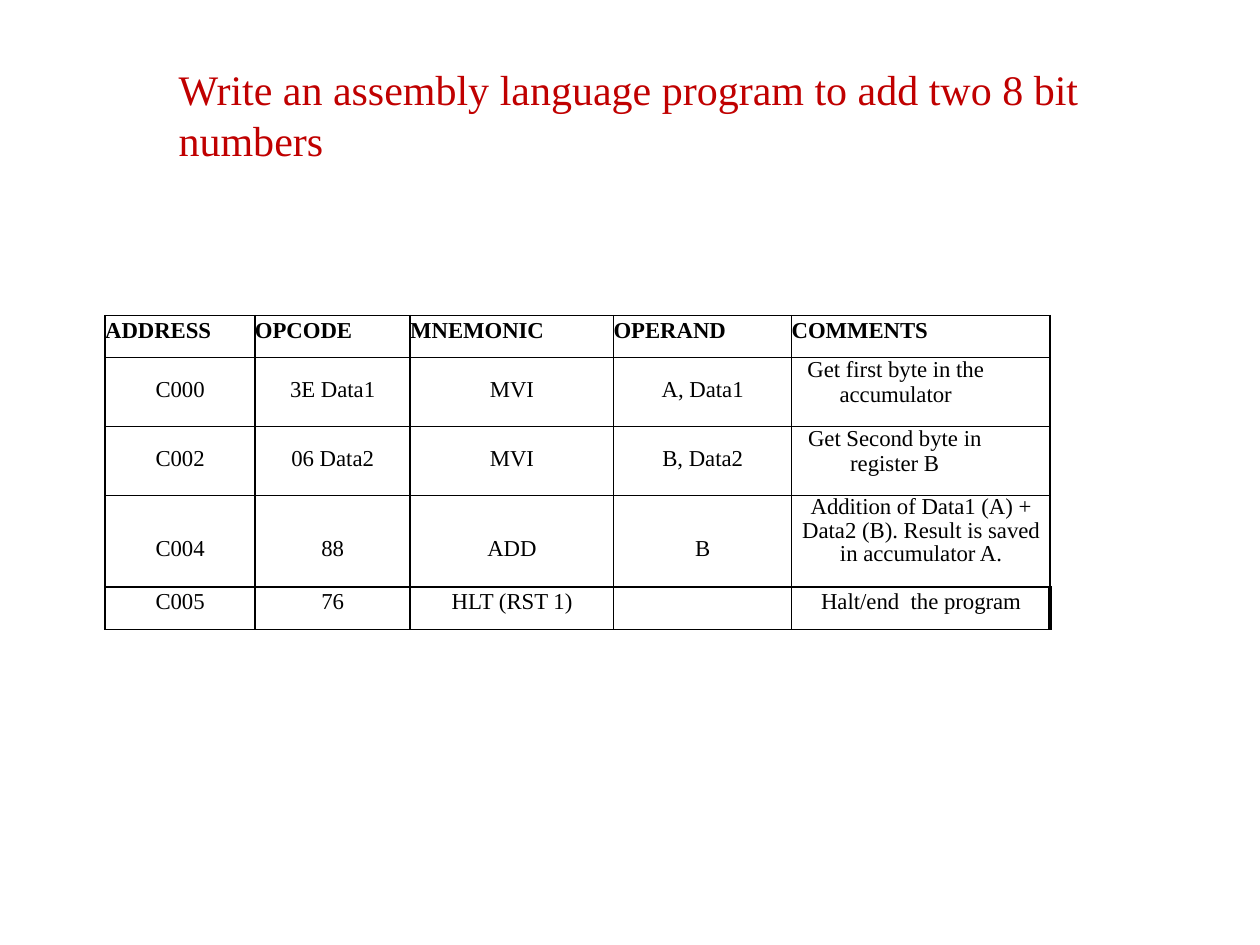
from dataclasses import dataclass

from lxml import etree
from pptx import Presentation
from pptx.dml.color import RGBColor
from pptx.enum.text import MSO_ANCHOR, PP_ALIGN
from pptx.oxml.ns import qn
from pptx.util import Cm, Pt

LEFT, MID = PP_ALIGN.LEFT, PP_ALIGN.CENTER
TOP, CENTER = MSO_ANCHOR.TOP, MSO_ANCHOR.MIDDLE


@dataclass
class Theme:
    font: str = "Times New Roman"
    head: str = "C00000"
    ink: str = "000000"
    paper: str = "FFFFFF"
    big: int = 24
    body: int = 13
    rule: int = 1
    thick: int = 3


@dataclass
class Row:
    """One table row: cell texts, height and top gap in cm, line spacing."""
    texts: tuple
    high: float
    gap: float = 0
    space: object = None
    last: object = None   # line spacing of the comment cell
    inset: float = 0      # right margin of the comment cell in cm
    bold: bool = False


class Deck:
    def __init__(self, theme):
        self.theme = theme
        self.prs = Presentation()
        self.prs.slide_width, self.prs.slide_height = Cm(25.4), Cm(19.05)
        self.slide = self.prs.slides.add_slide(self.prs.slide_layouts[5])

    def label(self, frame, text, size, color, align, bold=False, space=None):
        para = frame.paragraphs[0]
        para.alignment = align
        if space:
            para.line_spacing = space
        run = para.add_run()
        run.text = text
        run.font.name, run.font.size, run.font.bold = self.theme.font, Pt(size), bold
        run.font.color.rgb = RGBColor.from_string(color)

    def title(self, text, left, top, width, height):
        box = self.slide.shapes.title
        box.left, box.top = Cm(left), Cm(top)
        box.width, box.height = Cm(width), Cm(height)
        frame = box.text_frame
        frame.margin_left = frame.margin_right = 0
        frame.margin_top = frame.margin_bottom = 0
        frame.word_wrap, frame.vertical_anchor = True, CENTER
        self.label(frame, text, self.theme.big, self.theme.head, LEFT)

    def border(self, cell, right):
        props = cell._tc.get_or_add_tcPr()
        widths = {"L": self.theme.rule, "R": right,
                  "T": self.theme.rule, "B": self.theme.rule}
        # Borders must stand before the cell fill
        for spot, (side, width) in enumerate(widths.items()):
            line = etree.Element(qn("a:ln" + side), w=str(Pt(width)))
            fill = etree.SubElement(line, qn("a:solidFill"))
            etree.SubElement(fill, qn("a:srgbClr"), val=self.theme.ink)
            props.insert(spot, line)

    def cell(self, cell, text, row, final, right):
        cell.margin_left = cell.margin_bottom = 0
        cell.margin_top = 0 if final else Cm(row.gap)
        cell.margin_right = Cm(row.inset) if final else 0
        cell.vertical_anchor = TOP
        cell.fill.solid()
        cell.fill.fore_color.rgb = RGBColor.from_string(self.theme.paper)
        self.border(cell, right)
        if text:
            self.label(cell.text_frame, text, self.theme.body, self.theme.ink,
                       LEFT if row.bold else MID, row.bold,
                       row.last if final else row.space)

    def table(self, left, top, cols, rows):
        grid = self.slide.shapes.add_table(
            len(rows), len(cols), Cm(left), Cm(top),
            Cm(sum(cols)), Cm(sum(row.high for row in rows))).table
        grid.first_row = grid.horz_banding = False
        for col, width in zip(grid.columns, cols):
            col.width = Cm(width)
        for r, row in enumerate(rows):
            grid.rows[r].height = Cm(row.high)
            for c, text in enumerate(row.texts):
                final = c == len(cols) - 1
                corner = final and r == len(rows) - 1
                right = self.theme.thick if corner else self.theme.rule
                self.cell(grid.cell(r, c), text, row, final, right)

    def save(self):
        self.prs.save("out.pptx")


def main():
    deck = Deck(Theme())

    # Heading
    deck.title("Write an assembly language program to add two 8 bit numbers",
               3.6, 1.27, 20.32, 2.06)

    # Program listing
    rows = [
        Row(("ADDRESS", "OPCODE", "MNEMONIC", "OPERAND", "COMMENTS"),
            0.85, space=Pt(15.9), last=Pt(15.9), bold=True),
        Row(("C000", "3E Data1", "MVI", "A, Data1",
             "Get first byte in the accumulator"), 1.39, gap=0.4, inset=1.02),
        Row(("C002", "06 Data2", "MVI", "B, Data2",
             "Get Second byte in register B"), 1.39, gap=0.4, inset=1.06),
        Row(("C004", "88", "ADD", "B",
             "Addition of Data1 (A) + Data2 (B). Result is saved in accumulator A."),
            1.85, gap=0.83, last=0.95),
        Row(("C005", "76", "HLT (RST 1)", "", "Halt/end  the program"),
            0.85, space=Pt(15.4), last=Pt(15.4)),
    ]
    deck.table(2.12, 6.36, (3.02, 3.13, 4.1, 3.59, 5.21), rows)
    deck.save()


if __name__ == "__main__":
    main()
